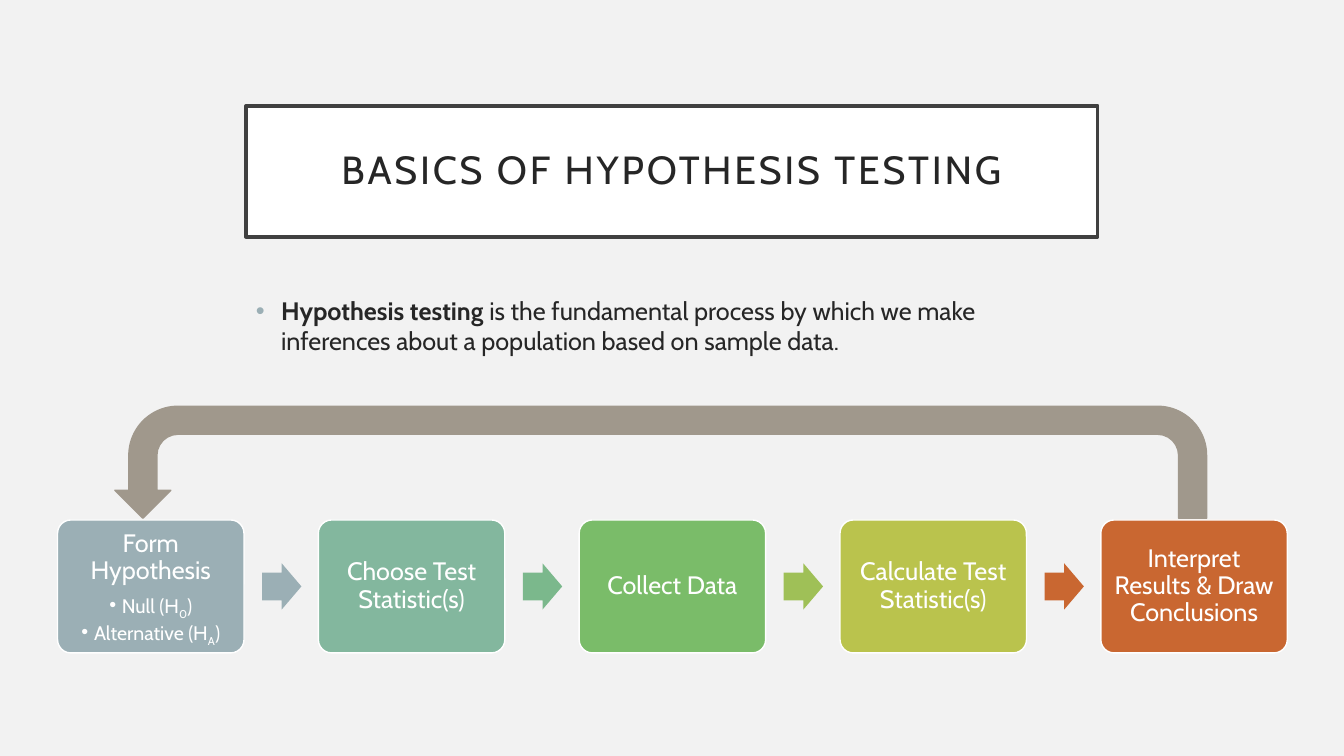
from dataclasses import dataclass

from lxml import etree
from pptx import Presentation
from pptx import util as u
from pptx.dml.color import RGBColor
from pptx.enum import shapes, text
from pptx.oxml import ns

Pt = u.Pt


@dataclass(frozen=True)
class Theme:
    font: str = "Cabin"
    background: str = "F2F2F2"
    white: str = "FFFFFF"
    ink: str = "262626"
    frame: str = "404040"
    bullet: str = "9BAFB5"
    loop: str = "A0988C"
    title_size: int = 28
    text_size: int = 18
    detail_size: int = 14


THEME = Theme()

# Step label, card colour, colour of the arrow that follows
STEPS = [
    ("Form Hypothesis", "9BAFB5", "9BAFB5"),
    ("Choose Test Statistic(s)", "83B79E", "7BB88C"),
    ("Collect Data", "7ABC69", "9FC057"),
    ("Calculate Test Statistic(s)", "BAC34D", "C96731"),
    ("Interpret Results & Draw Conclusions", "C96731", None),
]
HYPOTHESES = [("Null (H", "0"), ("Alternative (H", "A")]

CARD_LEFT, CARD_TOP, CARD_WIDTH, CARD_HEIGHT = 41.1, 371.4, 133.2, 95
CARD_STEP = 186.3
ARROW_WIDTH, ARROW_HEIGHT, ARROW_OFFSET = 28.1, 33, 146.1


def add_shape(page, kind, bounds, fill, line=None, line_width=1, adjustments=()):
    shape = page.shapes.add_shape(kind, *map(Pt, bounds))
    shape.shadow.inherit = False
    shape.fill.solid()
    shape.fill.fore_color.rgb = RGBColor.from_string(fill)
    if line:
        shape.line.color.rgb = RGBColor.from_string(line)
        shape.line.width = Pt(line_width)
    else:
        shape.line.fill.background()
    for index, value in enumerate(adjustments):
        shape.adjustments[index] = value
    return shape


def set_frame(box, anchor, inset_x, inset_y):
    frame = box.text_frame
    frame.word_wrap = True
    frame.vertical_anchor = anchor
    frame.margin_left = frame.margin_right = Pt(inset_x)
    frame.margin_top = frame.margin_bottom = Pt(inset_y)
    return frame


def add_span(para, words, size, color, bold=False):
    span = para.add_run()
    span.text = words
    span.font.name = THEME.font
    span.font.size = Pt(size)
    span.font.bold = bold
    span.font.color.rgb = RGBColor.from_string(color)
    return span


def center(para, space_after=0):
    para.alignment = text.PP_ALIGN.CENTER
    para.line_spacing = 0.9
    para.space_after = Pt(space_after)


def add_bullet(para, indent, color):
    """Give a paragraph a hanging bullet, after its spacing is set."""
    props = para._p.get_or_add_pPr()
    props.set("marL", str(Pt(indent)))
    props.set("indent", str(-Pt(indent)))
    tint = etree.SubElement(props, ns.qn("a:buClr"))
    etree.SubElement(tint, ns.qn("a:srgbClr"), val=color)
    etree.SubElement(props, ns.qn("a:buFont"), typeface="Arial")
    etree.SubElement(props, ns.qn("a:buChar"), char="•")


def add_title(page):
    box = add_shape(page, shapes.MSO_SHAPE.RECTANGLE, (175.7, 75.6, 608.4, 93.6),
                    THEME.white, THEME.frame, 2.5)
    para = set_frame(box, text.MSO_ANCHOR.MIDDLE, 14.4, 14.4).paragraphs[0]
    center(para)
    span = add_span(para, "BASICS OF HYPOTHESIS TESTING", THEME.title_size, THEME.ink)
    span.font._element.set("spc", "200")


def add_definition(page):
    box = page.shapes.add_textbox(*map(Pt, (175.7, 207.4, 608.4, 244)))
    para = set_frame(box, text.MSO_ANCHOR.TOP, 7.2, 3.6).paragraphs[0]
    para.space_before = Pt(10)
    add_bullet(para, 18, THEME.bullet)
    add_span(para, "Hypothesis testing ", THEME.text_size, THEME.ink, bold=True)
    add_span(para, "is the fundamental process by which we make inferences "
             "about a population based on sample data.", THEME.text_size, THEME.ink)


def add_card(page, left, label, fill, details=()):
    box = add_shape(page, shapes.MSO_SHAPE.ROUNDED_RECTANGLE,
                    (left, CARD_TOP, CARD_WIDTH, CARD_HEIGHT),
                    fill, THEME.white, adjustments=[0.1])
    anchor = text.MSO_ANCHOR.TOP if details else text.MSO_ANCHOR.MIDDLE
    frame = set_frame(box, anchor, 5, 5)
    para = frame.paragraphs[0]
    center(para, 6.3 if details else 0)
    add_span(para, label, THEME.text_size, THEME.white)
    for name, subscript in details:
        para = frame.add_paragraph()
        para.level = 1
        center(para, 2.1)
        add_bullet(para, 9, THEME.white)
        add_span(para, name, THEME.detail_size, THEME.white)
        lowered = add_span(para, subscript, THEME.detail_size, THEME.white)
        lowered.font._element.set("baseline", "-25000")
        add_span(para, ")", THEME.detail_size, THEME.white)


def add_step_arrow(page, left, fill):
    top = CARD_TOP + (CARD_HEIGHT - ARROW_HEIGHT) / 2
    add_shape(page, shapes.MSO_SHAPE.RIGHT_ARROW,
              (left, top, ARROW_WIDTH, ARROW_HEIGHT), fill, adjustments=[0.6, 0.5])


def add_return_arrow(page):
    """Draw the loop from the last step back to the first."""
    arrow = add_shape(page, shapes.MSO_SHAPE.U_TURN_ARROW, (82.1, 290.2, 779.8, 80),
                      THEME.loop, THEME.loop,
                      adjustments=[0.25, 0.25, 0.25, 0.438, 1])
    arrow._element.spPr.find(ns.qn("a:xfrm")).set("flipH", "1")


def main():
    deck = Presentation()
    deck.slide_width, deck.slide_height = Pt(960), Pt(540)
    page = deck.slides.add_slide(deck.slide_layouts[6])
    page.background.fill.solid()
    page.background.fill.fore_color.rgb = RGBColor.from_string(THEME.background)

    add_title(page)
    add_definition(page)
    for index, (label, fill, arrow_fill) in enumerate(STEPS):
        left = CARD_LEFT + index * CARD_STEP
        add_card(page, left, label, fill, HYPOTHESES if index == 0 else ())
        if arrow_fill:
            add_step_arrow(page, left + ARROW_OFFSET, arrow_fill)
    add_return_arrow(page)
    deck.save("out.pptx")


if __name__ == "__main__":
    main()
